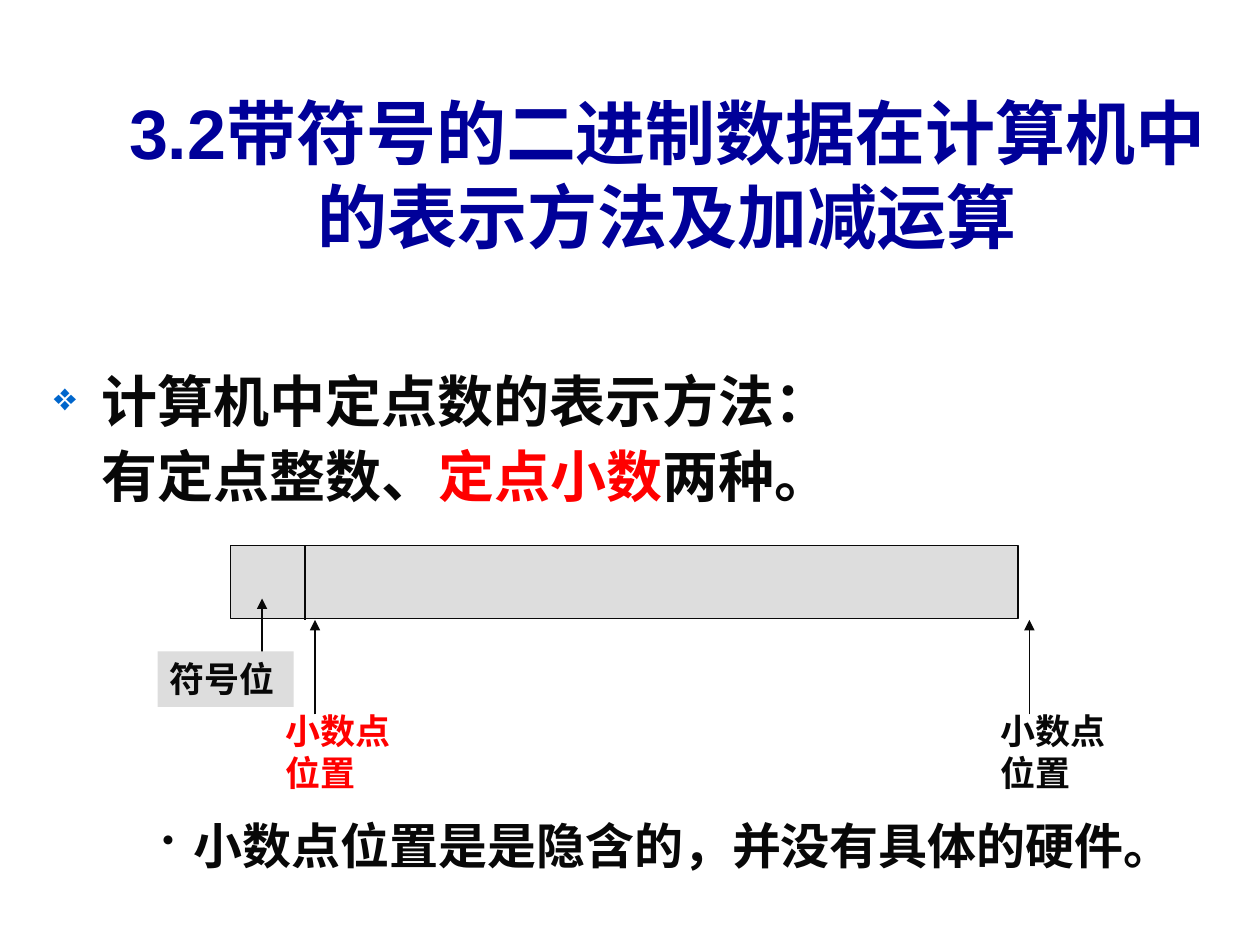
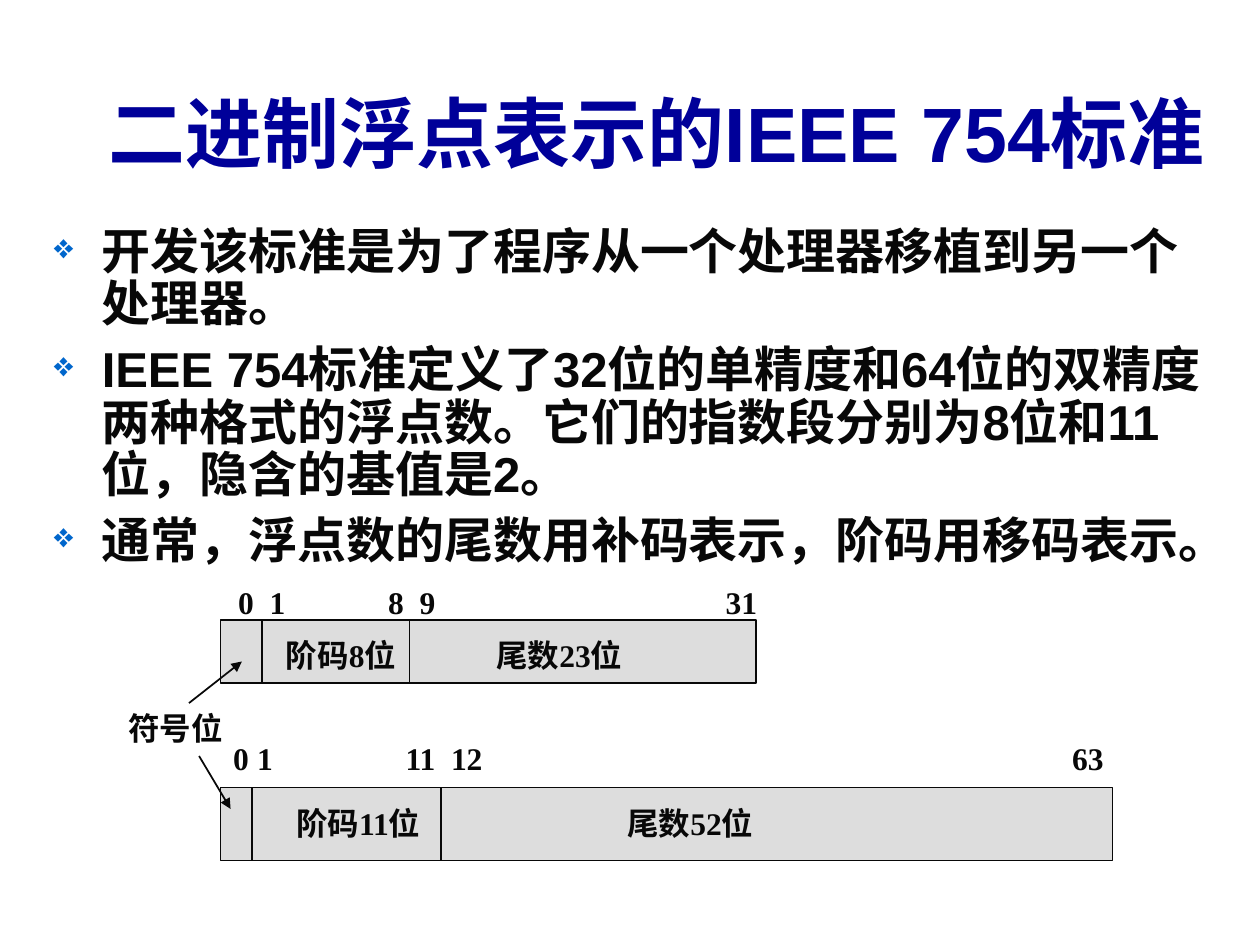
from lxml.etree import SubElement
from pptx import Presentation
from pptx.dml.color import RGBColor
from pptx.enum.shapes import MSO_CONNECTOR, MSO_SHAPE
from pptx.enum.text import MSO_ANCHOR, MSO_AUTO_SIZE, PP_ALIGN
from pptx.oxml.ns import qn
from pptx.util import Inches, Pt

COLORS = {"title": "000099", "ink": "080808", "accent": "FF0000",
          "bullet": "0066CC", "bar": "DDDDDD"}
SERIF = "Times New Roman"


def add_text(slide, text, at, size=18, font=SERIF, color="ink", title=False,
             fill=None, line=None, bullet=None, bullet_color="ink", hang=0,
             spacing=None, before=0, inset=0.1):
    """Text is a string or a list of paragraphs; a paragraph is a string
    or a list of (words, colour) pairs. Bullet may be one per paragraph."""
    left, top, width, height = map(Inches, at)
    if title:
        shape = slide.shapes.title
        shape.left, shape.top, shape.width, shape.height = left, top, width, height
    elif fill:
        shape = slide.shapes.add_shape(MSO_SHAPE.RECTANGLE, left, top, width, height)
        shape.shadow.inherit = False
        shape.fill.solid()
        shape.fill.fore_color.rgb = RGBColor.from_string(COLORS[fill])
        if line:
            shape.line.color.rgb = RGBColor.from_string(COLORS["ink"])
            shape.line.width = Pt(line)
        else:
            shape.line.fill.background()
    else:
        shape = slide.shapes.add_textbox(left, top, width, height)

    frame = shape.text_frame
    frame.word_wrap = True
    frame.auto_size = MSO_AUTO_SIZE.NONE
    frame.vertical_anchor = MSO_ANCHOR.MIDDLE if title else MSO_ANCHOR.TOP
    frame.margin_left = frame.margin_right = Inches(inset)
    frame.margin_top = frame.margin_bottom = Inches(0.05)

    paragraphs = [text] if isinstance(text, str) else text
    bullets = bullet if isinstance(bullet, list) else [bullet] * len(paragraphs)
    for number, (words, mark) in enumerate(zip(paragraphs, bullets)):
        paragraph = frame.add_paragraph() if number else frame.paragraphs[0]
        properties = paragraph._p.get_or_add_pPr()
        if hang:
            properties.set("marL", str(Inches(hang)))
            properties.set("indent", str(-Inches(hang) if mark else 0))
        if mark:
            tint = SubElement(properties, qn("a:buClr"))
            SubElement(tint, qn("a:srgbClr"), val=COLORS[bullet_color])
            SubElement(properties, qn("a:buSzPct"), val="70000")
            SubElement(properties, qn("a:buChar"), char=mark)
        paragraph.alignment = PP_ALIGN.CENTER if title else PP_ALIGN.LEFT
        if spacing:
            paragraph.line_spacing = spacing
        if number:
            paragraph.space_before = Pt(before)
        for part, tone in [(words, color)] if isinstance(words, str) else words:
            run = paragraph.add_run()
            run.text = part
            run.font.name, run.font.size, run.font.bold = font, Pt(size), True
            run.font.color.rgb = RGBColor.from_string(COLORS[tone])


def add_line(slide, start, end, width, arrow=False):
    line = slide.shapes.add_connector(MSO_CONNECTOR.STRAIGHT,
                                      *map(Inches, (*start, *end)))
    line.line.color.rgb = RGBColor.from_string(COLORS["ink"])
    line.line.width = Pt(width)
    if arrow:
        SubElement(line.line._get_or_add_ln(), qn("a:tailEnd"), type="triangle")
    SubElement(line._element.spPr, qn("a:effectLst"))


deck = Presentation()
deck.slide_width, deck.slide_height = Inches(10), Inches(7.5)
title_only = deck.slide_layouts[5]
title_style = dict(title=True, font="Arial", color="title")
body_style = dict(font="Arial", bullet_color="bullet", hang=0.38, spacing=0.9)

# Slide 1: fixed-point numbers
fixed = deck.slides.add_slide(title_only)
add_text(fixed, "3.2带符号的二进制数据在计算机中的表示方法及加减运算",
         (0.92, 0.75, 8.75, 1.25), size=40, **title_style)
add_text(fixed, ["计算机中定点数的表示方法：",
                 [("有定点整数、", "ink"), ("定点小数", "accent"), ("两种。", "ink")]],
         (0.33, 2.92, 9.34, 1.26), size=32, bullet=["❖", None], before=8, **body_style)

# Number word with its sign bit
add_text(fixed, [], (1.83, 4.33, 6.25, 0.58), fill="bar", line=0.75)
add_line(fixed, (2.42, 4.33), (2.42, 4.92), 0.75)
add_line(fixed, (2.08, 5.25), (2.08, 4.75), 0.75, arrow=True)
add_text(fixed, "符号位", (1.25, 5.17, 1.08, 0.44), size=20, fill="bar")

# Two possible places of the point
for point_x, tone in [(2.5, "accent"), (8.17, "ink")]:
    add_line(fixed, (point_x, 5.67), (point_x, 4.92), 0.75, arrow=True)
    add_text(fixed, "小数点位置", (point_x - 0.33, 5.58, 1.17, 0.77), size=20, color=tone)
add_text(fixed, "小数点位置是是隐含的，并没有具体的硬件。",
         (1.19, 6.42, 8.06, 1.05), size=28, bullet="•", hang=0.25)

# Slide 2: IEEE 754 formats
floating = deck.slides.add_slide(title_only)
add_text(floating, "二进制浮点表示的IEEE 754标准",
         (0.75, 0.42, 8.92, 1.25), size=44, **title_style)
add_text(floating,
         ["开发该标准是为了程序从一个处理器移植到另一个处理器。",
          "IEEE 754标准定义了32位的单精度和64位的双精度两种格式的浮点数。"
          "它们的指数段分别为8位和11位，隐含的基值是2。",
          "通常，浮点数的尾数用补码表示，阶码用移码表示。"],
         (0.33, 1.75, 9.34, 2.83), size=28, bullet="❖", before=7, **body_style)

# Each format: bar, dividers, bit numbers and field names with their left edges
formats = [
    dict(bar=(1.75, 4.92, 4.25, 0.5), dividers=(2.08, 3.25), bits_y=4.58, fields_y=5,
         bits={"0": 1.89, "1": 2.14, "8": 3.08, "9": 3.33, "31": 5.76},
         fields={"阶码8位": 2.27, "尾数23位": 3.94}),
    dict(bar=(1.75, 6.25, 7.08, 0.58), dividers=(2, 3.5), bits_y=5.82, fields_y=6.33,
         bits={"0": 1.85, "1": 2.04, "11": 3.22, "12": 3.58, "63": 8.51},
         fields={"阶码11位": 2.35, "尾数52位": 4.98}),
]
for layout in formats:
    add_text(floating, [], layout["bar"], fill="bar", line=1)
    _, bar_top, _, bar_height = layout["bar"]
    for x in layout["dividers"]:
        add_line(floating, (x, bar_top), (x, bar_top + bar_height), 1)
    for bit, x in layout["bits"].items():
        add_text(floating, bit, (x, layout["bits_y"], 0.15 * len(bit), 0.4), inset=0)
    for field, x in layout["fields"].items():
        add_text(floating, field, (x, layout["fields_y"], 1.2, 0.4), inset=0)

# Sign bit shared by both formats
add_text(floating, "符号位", (0.92, 5.58, 1, 0.4))
add_line(floating, (1.5, 5.58), (1.92, 5.25), 1, arrow=True)
add_line(floating, (1.58, 6), (1.83, 6.42), 1, arrow=True)

deck.save("out.pptx")
